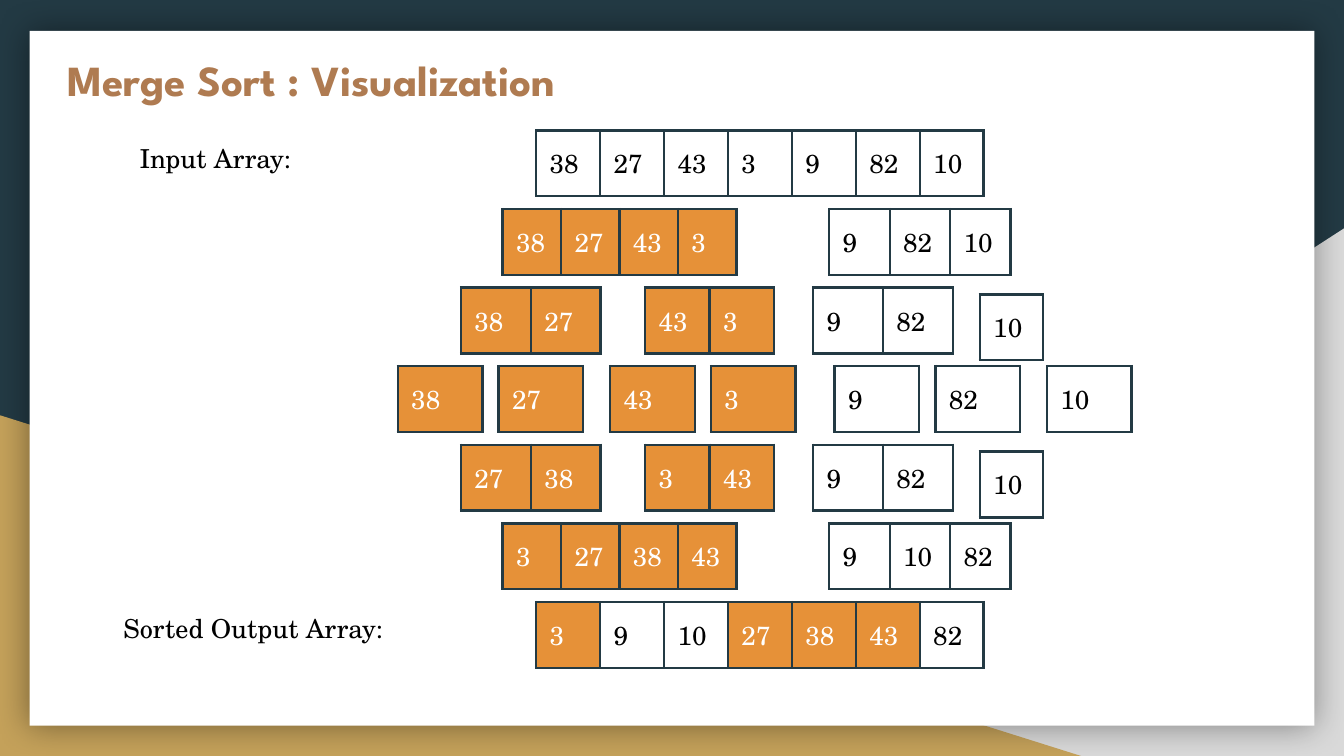
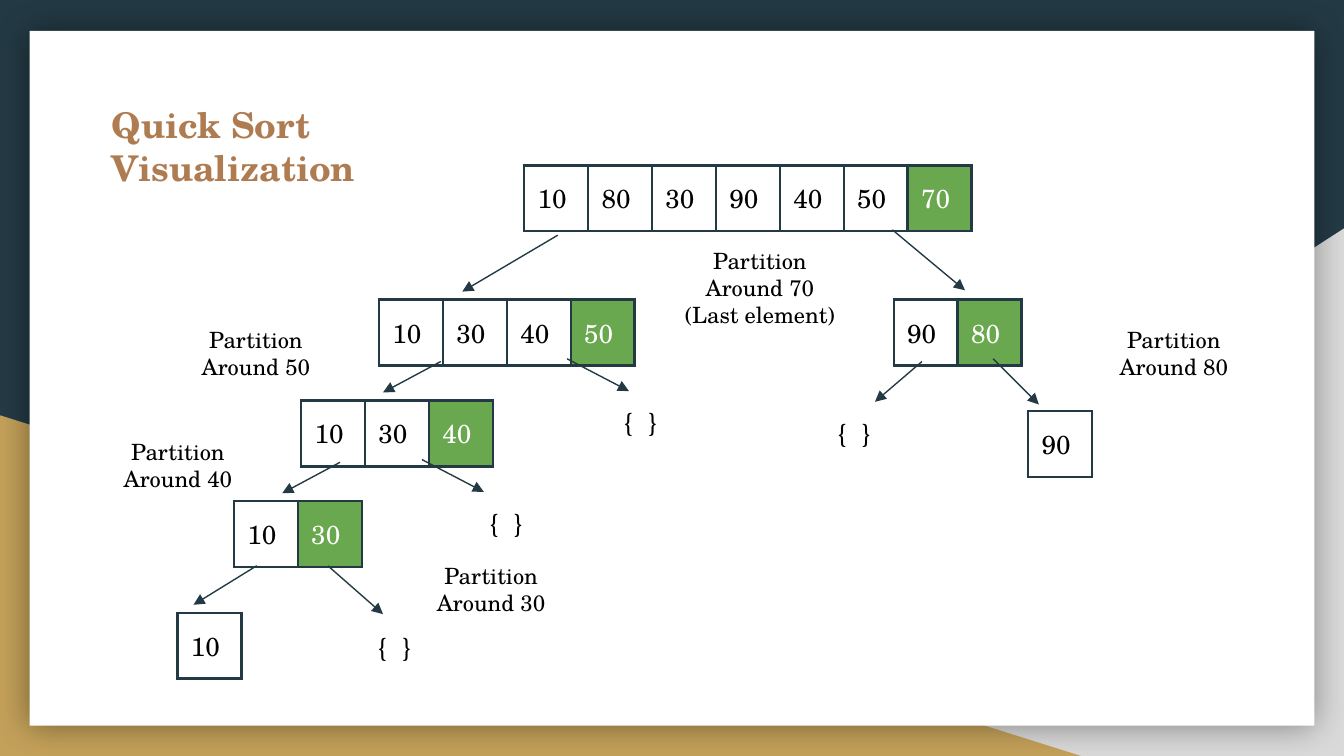
"""Build two slides that visualize merge sort and quick sort."""
from dataclasses import dataclass

from lxml.etree import SubElement
from pptx import Presentation
from pptx.dml.color import RGBColor
from pptx.enum.shapes import MSO_CONNECTOR, MSO_SHAPE
from pptx.enum.text import MSO_ANCHOR, MSO_AUTO_SIZE, PP_ALIGN
from pptx.oxml import parse_xml
from pptx.oxml.ns import nsdecls, qn
from pptx.util import Inches, Pt


@dataclass(frozen=True)
class Theme:
    navy: str = "233A44"
    gold: str = "C4A15A"
    silver: str = "D9D9D9"
    paper: str = "FFFFFF"
    ink: str = "000000"
    heading: str = "AF7B51"
    left_half: str = "E69138"
    pivot: str = "6AA84F"
    display: str = "League Spartan"
    serif: str = "TeX Gyre Schola"
    number_size: int = 14
    note_size: int = 12
    empty_size: int = 15
    border: float = 1.5
    arrow: float = 0.75


THEME = Theme()
WIDTH, HEIGHT = 10, 10 * 9 / 16
INSET = 0.1
ROW_HEIGHT = 0.49
CELL = 3.33 / 7

BACKDROP = [
    (MSO_SHAPE.RIGHT_TRIANGLE, (3.92, 1.7, 6.08, 3.93), THEME.silver, True),
    (MSO_SHAPE.RIGHT_TRIANGLE, (0, 3.09, 8.06, 2.54), THEME.gold, False),
    (MSO_SHAPE.RECTANGLE, (0.22, 0.23, 9.56, 5.17), THEME.paper, False),
]

MERGE_TITLE = ["Merge Sort : Visualization"]
MERGE_LEVELS = [
    [[38, 27, 43, 3, 9, 82, 10]],
    [[38, 27, 43, 3], [9, 82, 10]],
    [[38, 27], [43, 3], [9, 82], [10]],
    [[38], [27], [43], [3], [9], [82], [10]],
    [[27, 38], [3, 43], [9, 82], [10]],
    [[3, 27, 38, 43], [9, 10, 82]],
    [[3, 9, 10, 27, 38, 43, 82]],
]
LEFT_HALF = MERGE_LEVELS[1][0]
MERGE_TOP, MERGE_PITCH, LONE_DROP = 0.97, 0.585, 0.05
MERGE_SLOTS = [
    [(3.99, CELL)],
    [(3.74, 0.435), (6.17, 0.45)],
    [(3.43, 0.52), (4.8, 0.48), (6.05, 0.52), (7.29, 0.47)],
    [(left, 0.63) for left in (2.96, 3.71, 4.54, 5.29, 6.21, 6.96, 7.79)],
]
MERGE_LABELS = [
    ("Input Array:", (0.94, 0.96, 1.9, 0.27)),
    ("Sorted Output Array:", (0.82, 4.46, 2.43, 0.27)),
]

QUICK_TITLE = ["Quick Sort", "Visualization"]
QUICK_PARTS = [
    ([10, 80, 30, 90, 40, 50, 70], 3.9, 1.23),
    ([10, 30, 40, 50], 2.82, 2.23),
    ([90, 80], 6.65, 2.23),
    ([10, 30, 40], 2.24, 2.98),
    ([90], 7.65, 3.06),
    ([10, 30], 1.74, 3.73),
    ([10], 1.32, 4.56),
]
QUICK_ARROWS = [
    (4.15, 1.75, 3.44, 2.17), (6.64, 1.71, 7.18, 2.16),
    (3.28, 2.69, 2.85, 2.92), (4.22, 2.67, 4.68, 2.91),
    (6.86, 2.69, 6.51, 2.99), (7.39, 2.67, 7.73, 3.01),
    (2.53, 3.44, 2.1, 3.67), (3.14, 3.42, 3.6, 3.66),
    (1.91, 4.21, 1.44, 4.5), (2.44, 4.21, 2.85, 4.57),
]
EMPTY_PARTS = [(2.71, 4.59), (3.54, 3.67), (4.54, 2.92), (6.13, 3)]
PARTITION_NOTES = [
    ("70 (Last element)", 4.94, 1.74),
    ("80", 8.02, 2.33),
    ("50", 1.19, 2.33),
    ("30", 2.94, 4.08),
    ("40", 0.61, 3.16),
]


def rgb(color):
    return RGBColor.from_string(color)


def inches(*lengths):
    return [Inches(length) for length in lengths]


def set_font(paragraph, size, color=THEME.ink, face=THEME.serif, bold=False):
    font = paragraph.font
    font.name, font.size, font.bold = face, Pt(size), bold
    font.color.rgb = rgb(color)


def set_insets(holder):
    for side in ("left", "right", "top", "bottom"):
        setattr(holder, f"margin_{side}", Inches(INSET))


def add_backdrop(prs, slide):
    master = prs.slide_master
    master.background.fill.solid()
    master.background.fill.fore_color.rgb = rgb(THEME.navy)
    for index, (kind, box, color, flipped) in enumerate(BACKDROP):
        panel = slide.shapes.add_shape(kind, *inches(*box))
        panel.shadow.inherit = False
        panel.fill.solid()
        panel.fill.fore_color.rgb = rgb(color)
        panel.line.fill.background()
        element = panel._element
        if flipped:
            element.spPr.xfrm.set("flipH", "1")
        if kind == MSO_SHAPE.RECTANGLE:
            element.spPr.find(qn("a:effectLst")).append(parse_xml(
                f'<a:outerShdw {nsdecls("a")} blurRad="{Pt(18)}" dist="0" algn="ctr" '
                f'rotWithShape="0"><a:srgbClr val="{THEME.ink}"><a:alpha val="40000"/>'
                '</a:srgbClr></a:outerShdw>'))
        element.nvSpPr.cNvPr.set("id", str(20 + index))
        master.shapes._spTree.insert(2 + index, element)


def set_title(slide, lines, box, size, face):
    title = slide.shapes.title
    title.left, title.top, title.width, title.height = inches(*box)
    frame = title.text_frame
    frame.text = "\n".join(lines)
    frame.word_wrap = True
    frame.auto_size = MSO_AUTO_SIZE.NONE
    frame.vertical_anchor = MSO_ANCHOR.TOP
    set_insets(frame)
    for paragraph in frame.paragraphs:
        paragraph.alignment = PP_ALIGN.LEFT
        set_font(paragraph, size, THEME.heading, face, True)


def add_label(slide, text, box, size, align=PP_ALIGN.LEFT):
    frame = slide.shapes.add_textbox(*inches(*box)).text_frame
    frame.word_wrap = True
    set_insets(frame)
    frame.text = text
    frame.paragraphs[0].alignment = align
    set_font(frame.paragraphs[0], size)


def add_borders(cell):
    properties = cell._tc.get_or_add_tcPr()
    for side in ("lnL", "lnR", "lnT", "lnB"):
        line = SubElement(properties, qn(f"a:{side}"), w=str(Pt(THEME.border)))
        SubElement(SubElement(line, qn("a:solidFill")), qn("a:srgbClr"), val=THEME.navy)


def add_array(slide, numbers, left, top, cell_width, fills):
    box = inches(left, top, cell_width * len(numbers), ROW_HEIGHT)
    table = slide.shapes.add_table(1, len(numbers), *box).table
    table.first_row = table.horz_banding = False
    for cell, number, fill in zip(table.iter_cells(), numbers, fills):
        cell.text = str(number)
        set_insets(cell)
        cell.vertical_anchor = MSO_ANCHOR.MIDDLE
        add_borders(cell)
        if fill:
            cell.fill.solid()
            cell.fill.fore_color.rgb = rgb(fill)
        else:
            cell.fill.background()
        set_font(cell.text_frame.paragraphs[0], THEME.number_size,
                 THEME.paper if fill else THEME.ink)


def add_arrow(slide, ends):
    arrow = slide.shapes.add_connector(MSO_CONNECTOR.STRAIGHT, *inches(*ends))
    arrow.line.color.rgb = rgb(THEME.navy)
    arrow.line.width = Pt(THEME.arrow)
    SubElement(arrow.line._get_or_add_ln(), qn("a:tailEnd"), type="triangle")
    SubElement(arrow._element.spPr, qn("a:effectLst"))


def build_merge_sort(slide):
    set_title(slide, MERGE_TITLE, (0.4, 0.3, 8.21, 0.55), 23, THEME.display)
    for level, arrays in enumerate(MERGE_LEVELS):
        depth = min(level, len(MERGE_LEVELS) - 1 - level)
        for numbers, (left, cell_width) in zip(arrays, MERGE_SLOTS[depth]):
            lone = depth == 2 and len(numbers) == 1
            top = MERGE_TOP + level * MERGE_PITCH + (LONE_DROP if lone else 0)
            fills = [THEME.left_half if level and number in LEFT_HALF else None
                     for number in numbers]
            add_array(slide, numbers, left, top, cell_width, fills)
    for text, box in MERGE_LABELS:
        add_label(slide, text, box, THEME.number_size)


def build_quick_sort(slide):
    set_title(slide, QUICK_TITLE, (0.73, 0.67, 8.21, 0.45), 19, THEME.serif)
    for numbers, left, top in QUICK_PARTS:
        last = THEME.pivot if len(numbers) > 1 else None
        fills = [None] * (len(numbers) - 1) + [last]
        add_array(slide, numbers, left, top, CELL, fills)
    for ends in QUICK_ARROWS:
        add_arrow(slide, ends)
    for left, top in EMPTY_PARTS:
        add_label(slide, "{  }", (left, top, 0.81, 0.37), THEME.empty_size)
    for pivot, left, top in PARTITION_NOTES:
        add_label(slide, f"Partition Around {pivot}", (left, top, 1.43, 0.58),
                  THEME.note_size, PP_ALIGN.CENTER)


def main():
    prs = Presentation()
    prs.slide_width, prs.slide_height = inches(WIDTH, HEIGHT)
    title_only = prs.slide_layouts[5]
    merge_slide, quick_slide = [prs.slides.add_slide(title_only) for _ in range(2)]
    add_backdrop(prs, merge_slide)
    build_merge_sort(merge_slide)
    build_quick_sort(quick_slide)
    prs.save("out.pptx")


if __name__ == "__main__":
    main()
